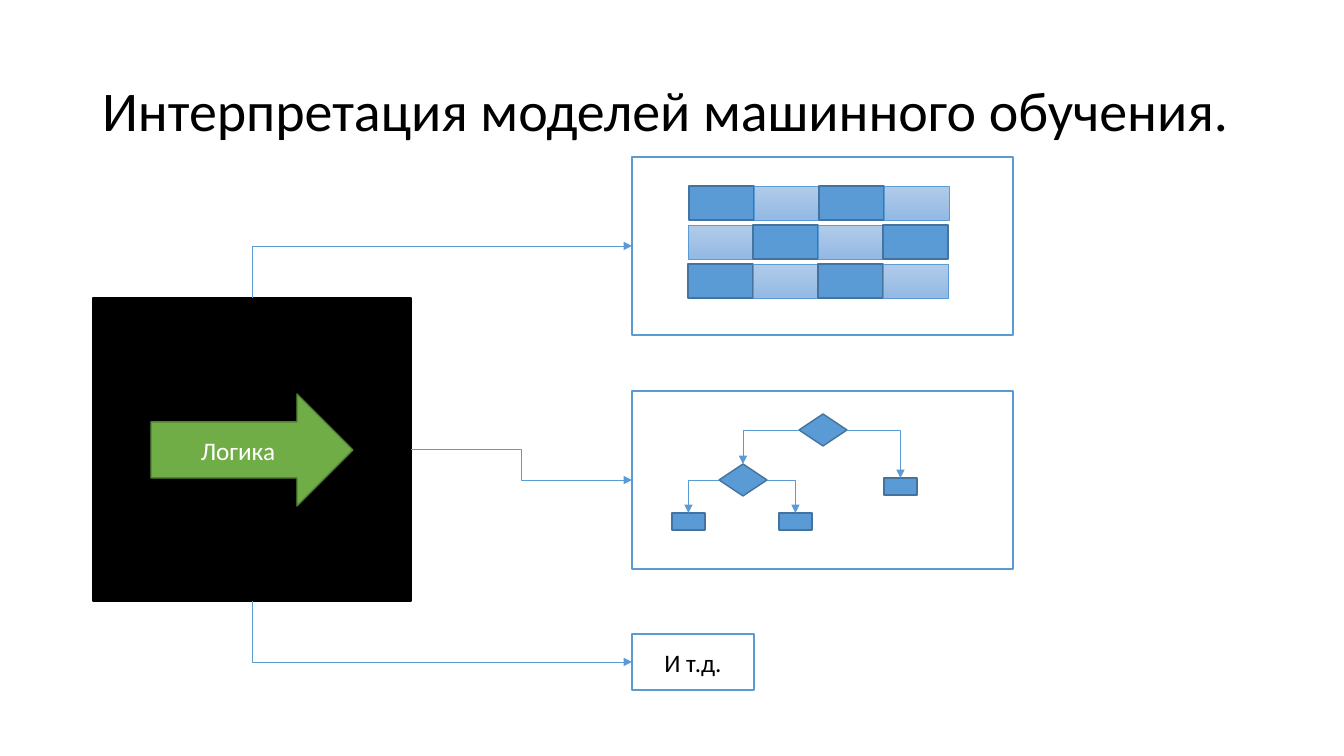
"""Build a slide on interpreting machine learning models."""
from lxml import etree
from pptx import Presentation, util as u
from pptx.dml.color import RGBColor
from pptx.enum import shapes, text
from pptx.oxml.ns import qn

PX = 12192000 / 1344
BLUE, DARK_BLUE, WHITE, BLACK = "5B9BD5", "43739E", "FFFFFF", "000000"
TOP, LEFT, BOTTOM, RIGHT = range(4)
RECT = shapes.MSO_SHAPE.RECTANGLE
DIAMOND = shapes.MSO_SHAPE.DIAMOND


def rgb(value):
    return RGBColor.from_string(value)


def px(value):
    return u.Emu(round(value * PX))


deck = Presentation()
deck.slide_width, deck.slide_height = px(1344), px(756)
slide = deck.slides.add_slide(deck.slide_layouts[5])

title = slide.shapes.title
title.left, title.top, title.width, title.height = px(92), px(40), px(1159), px(146)
title.text_frame.vertical_anchor = text.MSO_ANCHOR.MIDDLE
para = title.text_frame.paragraphs[0]
para.alignment = text.PP_ALIGN.LEFT
para.line_spacing = 0.9
span = para.add_run()
span.text = "Интерпретация моделей машинного обучения."
span.font.name, span.font.size = "Calibri", u.Pt(40)
span.font.color.rgb = rgb(BLACK)

group = slide.shapes.add_group_shape()
boxes = {}
layout = [
    ("black box", group, RECT, (93, 298, 318, 303), BLACK, BLACK, "", WHITE),
    ("logic", group, shapes.MSO_SHAPE.RIGHT_ARROW, (151, 394, 202, 112),
     "70AD47", "538035", "Логика", WHITE),
    ("table panel", slide, RECT, (632, 157, 381, 178), WHITE, BLUE, "", BLACK),
    ("tree panel", slide, RECT, (632, 391, 381, 178), WHITE, BLUE, "", BLACK),
    ("other", slide, RECT, (632, 634, 122, 56), WHITE, BLUE, "И т.д.", BLACK),
]
for row, left in enumerate((689, 688, 688)):
    for column in range(4):
        line = BLUE if (row + column) % 2 else DARK_BLUE
        place = (left + 65 * column, 186 + 39 * row, 65, 34)
        layout.append((f"cell {row} {column}", slide, RECT, place, BLUE, line, "", WHITE))
for name, kind, place in [
    ("root", DIAMOND, (799, 414, 48, 32)),
    ("branch", DIAMOND, (719, 464, 48, 32)),
    ("left leaf", RECT, (672, 513, 33, 17)),
    ("middle leaf", RECT, (779, 513, 33, 17)),
    ("right leaf", RECT, (884, 478, 33, 17)),
]:
    layout.append((name, slide, kind, place, BLUE, DARK_BLUE, "", WHITE))

for name, parent, kind, place, fill, line, label, ink in layout:
    box = parent.shapes.add_shape(kind, *map(px, place))
    box.shadow.inherit = False
    if name.startswith("cell") and line == BLUE:
        box.fill.gradient()
        box.fill.gradient_angle = 270
        for stop, tint in zip(box.fill.gradient_stops, ("B1CBE9", "93B9E4")):
            stop.color.rgb = rgb(tint)
        box.line.width = u.Pt(0.5)
    else:
        box.fill.solid()
        box.fill.fore_color.rgb = rgb(fill)
        box.line.width = u.Pt(1)
    box.line.color.rgb = rgb(line)
    if label:
        box.text_frame.vertical_anchor = text.MSO_ANCHOR.MIDDLE
        para = box.text_frame.paragraphs[0]
        para.alignment = text.PP_ALIGN.CENTER
        span = para.add_run()
        span.text = label
        span.font.name, span.font.size = "Calibri", u.Pt(18)
        span.font.color.rgb = rgb(ink)
    boxes[name] = box

for start, start_side, end, end_side in [
    ("black box", TOP, "table panel", LEFT),
    ("black box", RIGHT, "tree panel", LEFT),
    ("black box", BOTTOM, "other", LEFT),
    ("root", LEFT, "branch", TOP),
    ("root", RIGHT, "right leaf", TOP),
    ("branch", LEFT, "left leaf", TOP),
    ("branch", RIGHT, "middle leaf", TOP),
]:
    link = slide.shapes.add_connector(shapes.MSO_CONNECTOR.ELBOW, 0, 0, 0, 0)
    link.begin_connect(boxes[start], start_side)
    link.end_connect(boxes[end], end_side)
    link.line.color.rgb = rgb(BLUE)
    link.line.width = u.Pt(0.5)
    properties = link._element.spPr
    etree.SubElement(link.line._get_or_add_ln(), qn("a:tailEnd"), type="triangle")
    etree.SubElement(properties, qn("a:effectLst"))
    if (start_side, end_side) != (RIGHT, LEFT):
        properties.find(qn("a:prstGeom")).set("prst", "bentConnector2")
    if start_side in (TOP, BOTTOM):
        width, height = link.width, link.height
        link.left += (width - height) // 2
        link.top += (height - width) // 2
        link.width, link.height = height, width
        frame = properties.find(qn("a:xfrm"))
        frame.set("rot", "5400000" if start_side == TOP else "16200000")
        frame.set("flipH", "1")
        frame.set("flipV", "1" if start_side == TOP else "0")

deck.save("out.pptx")
